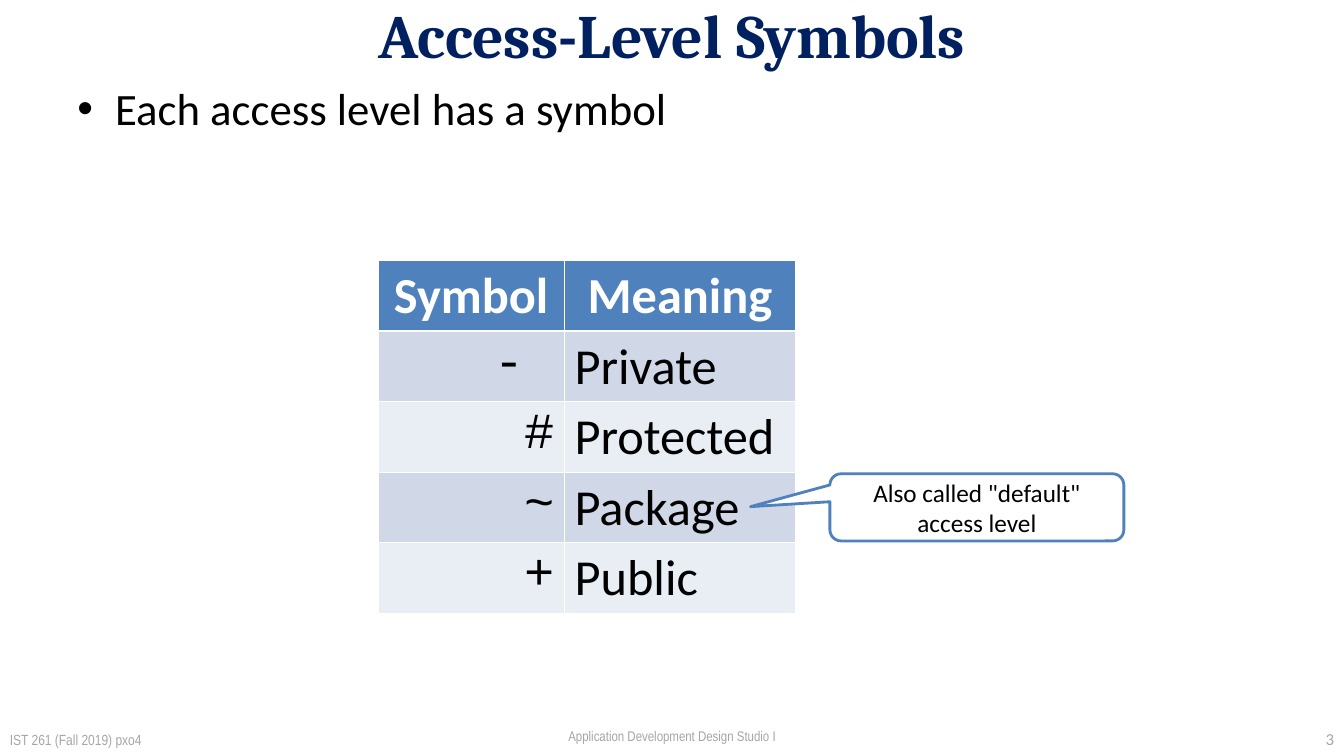
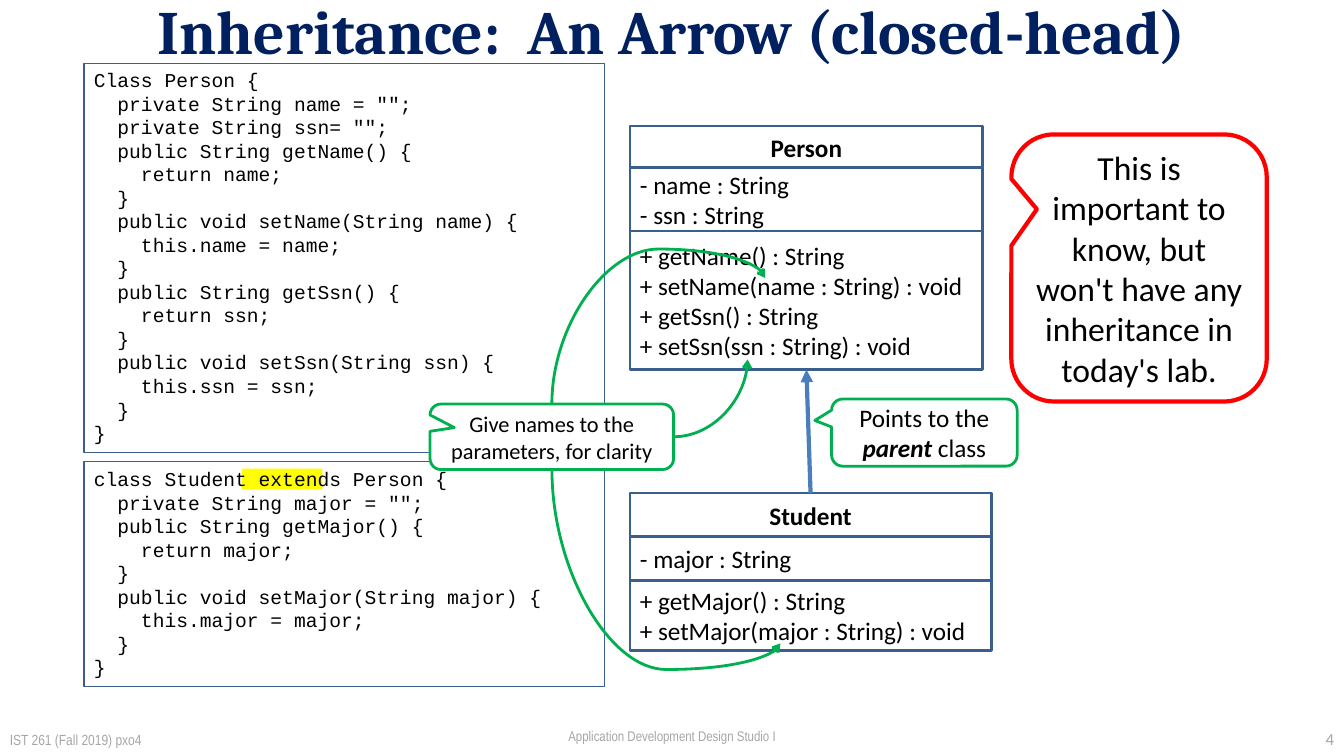
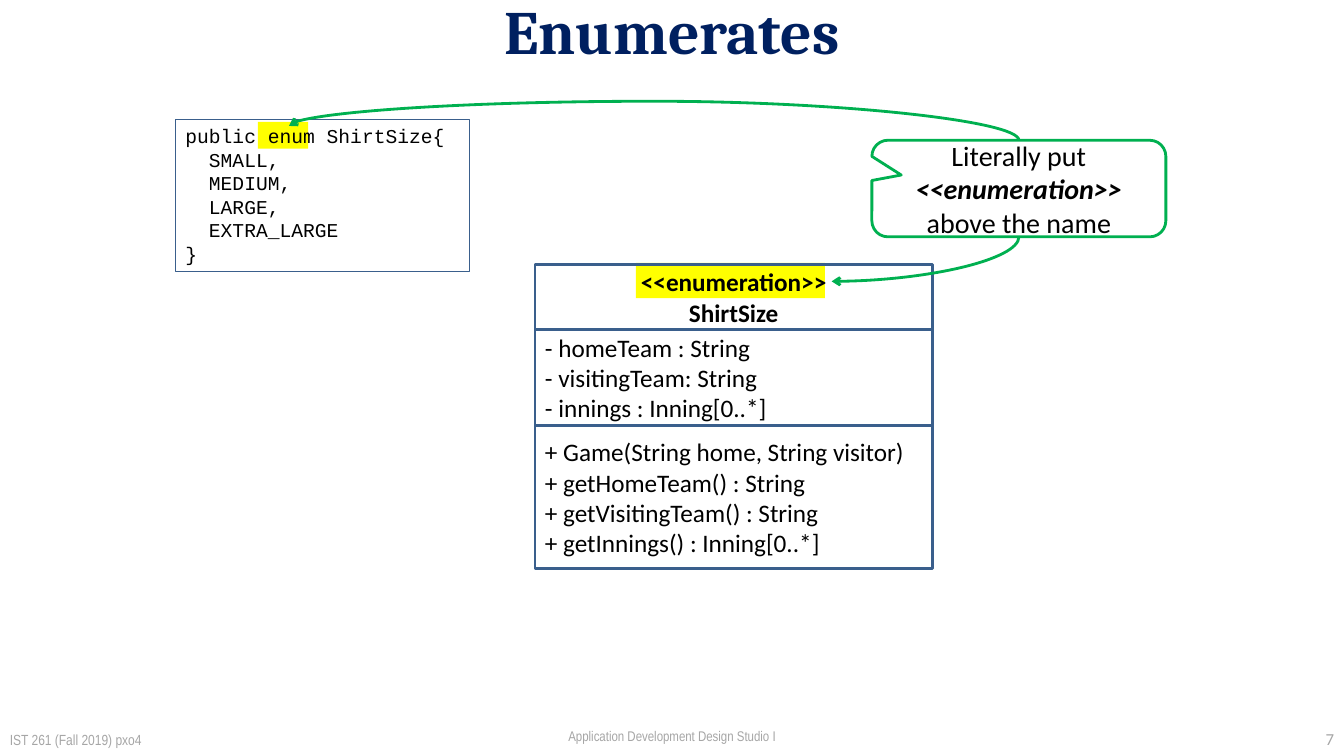
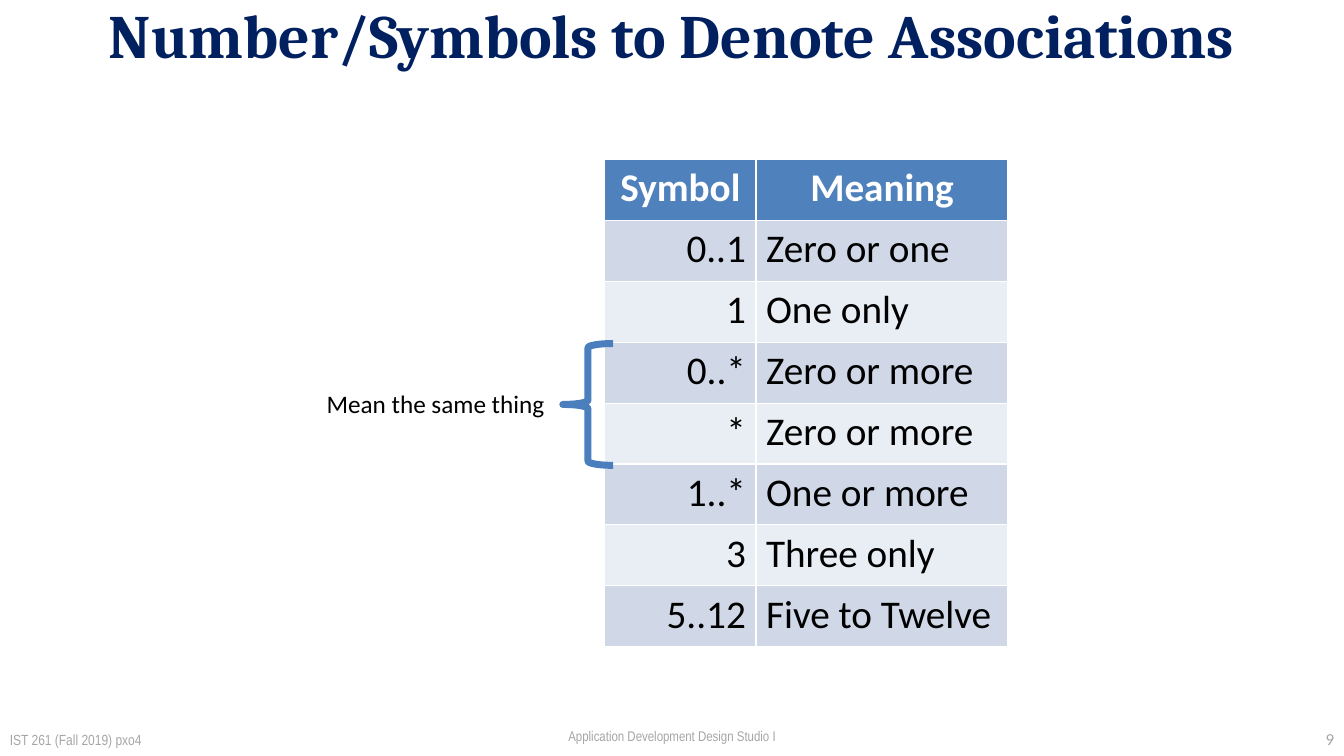
from dataclasses import dataclass

from lxml import etree
from pptx import Presentation
from pptx.dml.color import RGBColor
from pptx.enum.shapes import MSO_CONNECTOR, MSO_SHAPE
from pptx.enum.text import MSO_ANCHOR, MSO_AUTO_SIZE, PP_ALIGN
from pptx.oxml.ns import qn
from pptx.util import Inches, Pt

RECT, BRACE = MSO_SHAPE.RECTANGLE, MSO_SHAPE.LEFT_BRACE
CALLOUT = MSO_SHAPE.ROUNDED_RECTANGULAR_CALLOUT
STRAIGHT, CURVE = MSO_CONNECTOR.STRAIGHT, MSO_CONNECTOR.CURVE
LEFT, CENTER, RIGHT = PP_ALIGN.LEFT, PP_ALIGN.CENTER, PP_ALIGN.RIGHT
TOP, MIDDLE = MSO_ANCHOR.TOP, MSO_ANCHOR.MIDDLE

# The slide is a grid of 160 columns by 90 rows of square cells.
COLUMNS, ROWS = 160, 90
CELL = Inches(1) // 12


@dataclass(frozen=True)
class Theme:
    navy = RGBColor.from_string("002060")
    black = RGBColor.from_string("000000")
    white = RGBColor.from_string("FFFFFF")
    gray = RGBColor.from_string("A6A6A6")
    blue = RGBColor.from_string("4F81BD")
    edge = RGBColor.from_string("3A5F8C")
    arrow = RGBColor.from_string("4B7EBC")
    green = RGBColor.from_string("00B050")
    red = RGBColor.from_string("FF0000")
    yellow = RGBColor.from_string("FFFF00")
    bands = (RGBColor.from_string("D0D8E8"), RGBColor.from_string("E9EDF4"))
    heading, text, code, footer = "Cambria", "Calibri", "Courier New", "Arial Narrow"
    title_size, list_size, label_size, code_size = 44, 32, 18, 14


THEME = Theme()


def add_box(slide, kind, place, lines=(), size=THEME.label_size, font=THEME.text,
            color=THEME.black, bold=False, align=LEFT, anchor=MIDDLE,
            fill=None, line=None, weight=2, pointer=()):
    """Draw a box (a text box if kind is None); a line is text or (plain, strong, plain)."""
    left, top, width, height = [round(value * CELL) for value in place]
    if kind is None:
        box = slide.shapes.add_textbox(left, top, width, height)
    else:
        box = slide.shapes.add_shape(kind, left, top, width, height)
        box.shadow.inherit = False
        if fill is None:
            box.fill.background()
        else:
            box.fill.solid()
            box.fill.fore_color.rgb = fill
        if line is None:
            box.line.fill.background()
        else:
            box.line.color.rgb = line
            box.line.width = Pt(weight)
    for index, value in enumerate(pointer):
        box.adjustments[index] = value
    frame = box.text_frame
    frame.word_wrap = True
    frame.vertical_anchor = anchor
    for index, parts in enumerate(lines):
        paragraph = frame.paragraphs[0] if index == 0 else frame.add_paragraph()
        paragraph.alignment = align
        paragraph.font.name, paragraph.font.size = font, Pt(size)
        paragraph.font.color.rgb, paragraph.font.bold = color, bold
        for order, part in enumerate([parts] if isinstance(parts, str) else parts):
            run = paragraph.add_run()
            run.text = part
            if order % 2:
                run.font.bold = run.font.italic = True
    return box


def add_arrow(slide, start, end, preset=None, turn=0, flips="", bend=None,
              color=THEME.green, weight=2, head="arrow"):
    """Draw an arrow; with a preset it is a curve, turned and flipped about its middle."""
    (x1, y1), (x2, y2) = start, end
    if preset:
        width, height = abs(x2 - x1), abs(y2 - y1)
        if turn in (90, 270):
            width, height = height, width
        x1, y1 = (x1 + x2 - width) / 2, (y1 + y2 - height) / 2
        x2, y2 = x1 + width, y1 + height
    arrow = slide.shapes.add_connector(
        CURVE if preset else STRAIGHT, *[round(v * CELL) for v in (x1, y1, x2, y2)])
    arrow.line.color.rgb = color
    arrow.line.width = Pt(weight)
    properties = arrow._element.spPr
    if preset:
        frame = properties.find(qn("a:xfrm"))
        frame.set("rot", str(turn * 60000))
        for axis in flips:
            frame.set("flip" + axis.upper(), "1")
        geometry = properties.find(qn("a:prstGeom"))
        geometry.set("prst", preset)
        if bend:
            guide = etree.SubElement(geometry.find(qn("a:avLst")), qn("a:gd"))
            guide.set("name", "adj1")
            guide.set("fmla", f"val {round(bend * 100000)}")
    etree.SubElement(properties.find(qn("a:ln")), qn("a:tailEnd")).set("type", head)
    etree.SubElement(properties, qn("a:effectLst"))
    return arrow


prs = Presentation()
prs.slide_width, prs.slide_height = COLUMNS * CELL, ROWS * CELL
LIST_LAYOUT, TITLE_LAYOUT = prs.slide_layouts[1], prs.slide_layouts[5]

# Titles and footers
slides = []
for page, heading, layout, title_rows in (
    (3, "Access-Level Symbols", LIST_LAYOUT, 8),
    (4, "Inheritance:  An Arrow (closed-head)", TITLE_LAYOUT, 7.2),
    (7, "Enumerates", TITLE_LAYOUT, 7.2),
    (9, "Number/Symbols to Denote Associations", TITLE_LAYOUT, 8),
):
    slide = prs.slides.add_slide(layout)
    slides.append(slide)
    title = slide.shapes.title
    title.left, title.top = 8 * CELL, 0
    title.width, title.height = 144 * CELL, round(title_rows * CELL)
    title.text_frame.text = heading
    title.text_frame.auto_size = MSO_AUTO_SIZE.NONE
    title.text_frame.vertical_anchor = MIDDLE
    paragraph = title.text_frame.paragraphs[0]
    paragraph.alignment = CENTER
    paragraph.font.name, paragraph.font.size = THEME.heading, Pt(THEME.title_size)
    paragraph.font.color.rgb, paragraph.font.bold = THEME.navy, True

    third = COLUMNS / 3
    side = third * 0.85
    for left, width, height, words, size, font, align, anchor in (
        (0, side, 4, "IST 261 (Fall 2019) pxo4", 10.5, THEME.footer, LEFT, MIDDLE),
        (side, COLUMNS - 2 * side, 3.7, "Application Development Design Studio I",
         10, THEME.footer, CENTER, TOP),
        (COLUMNS - side, side, 4, str(page), 12, THEME.text, RIGHT, MIDDLE),
    ):
        add_box(slide, None, (left, 86, width, height), [words], size, font,
                THEME.gray, align=align, anchor=anchor)

access, inheritance, enumerates, associations = slides

# Symbol tables
for slide, left, top, widths, row_height, size, symbol_font, entries in (
    (access, 45, 31, (22.2, 27.5), 8.4, 36, THEME.code,
     (("- ", "Private"), ("#", "Protected"), ("~", "Package"), ("+", "Public"))),
    (associations, 72, 19, (18, 30), 7.25, 28, THEME.text,
     (("0..1", "Zero or one"), ("1", "One only"), ("0..*", "Zero or more"),
      ("*", "Zero or more"), ("1..*", "One or more"), ("3", "Three only"),
      ("5..12", "Five to Twelve"))),
):
    rows = (("Symbol", "Meaning"),) + entries
    table = slide.shapes.add_table(
        len(rows), 2, left * CELL, top * CELL, round(sum(widths) * CELL),
        round(len(rows) * row_height * CELL)).table
    for column, width in zip(table.columns, widths):
        column.width = round(width * CELL)
    for r, row in enumerate(rows):
        for c, words in enumerate(row):
            header = r == 0
            cell = table.cell(r, c)
            cell.fill.solid()
            cell.fill.fore_color.rgb = THEME.blue if header else THEME.bands[(r - 1) % 2]
            cell.text = words
            paragraph = cell.text_frame.paragraphs[0]
            paragraph.alignment = CENTER if header else (RIGHT, LEFT)[c]
            paragraph.font.name = symbol_font if c == 0 and not header else THEME.text
            paragraph.font.size, paragraph.font.bold = Pt(size), header
            paragraph.font.color.rgb = THEME.white if header else THEME.black

# Access levels: list
levels = access.placeholders[1]
levels.left, levels.top, levels.width, levels.height = [
    round(v * CELL) for v in (8, 9, 144, 71.4)]
levels.text_frame.text = "Each access level has a symbol"
levels.text_frame.auto_size = MSO_AUTO_SIZE.NONE
paragraph = levels.text_frame.paragraphs[0]
paragraph.space_before = Pt(0)
paragraph.font.name, paragraph.font.size = THEME.text, Pt(THEME.list_size)
paragraph.font.color.rgb = THEME.black

# Highlights behind the code and the class name
for slide, place in (
    (inheritance, (28.8, 55.8, 9.6, 2.5)),
    (enumerates, (30.7, 14.5, 6, 3.2)),
    (enumerates, (75.7, 31.3, 22.5, 4.2)),
):
    add_box(slide, RECT, place, fill=THEME.yellow)

# Class diagrams: name, attributes and methods stacked
class_parts = []
for slide, left, top, width, compartments in (
    (inheritance, 75, 15, 42, (
        (5, ["Person"]),
        (7.5, ["- name : String", "- ssn : String"]),
        (16.5, ["+ getName() : String", "+ setName(name : String) : void",
                "+ getSsn() : String", "+ setSsn(ssn : String) : void"]))),
    (inheritance, 75, 58.7, 43, (
        (5.2, ["Student"]),
        (5.2, ["- major : String"]),
        (8.3, ["+ getMajor() : String", "+ setMajor(major : String) : void"]))),
    (enumerates, 63.7, 31.5, 47.3, (
        (7.7, ["<<enumeration>>", "ShirtSize"]),
        (11.5, ["- homeTeam : String", "- visitingTeam: String",
                "- innings : Inning[0..*]"]),
        (17, ["+ Game(String home, String visitor)", "+ getHomeTeam() : String",
              "+ getVisitingTeam() : String", "+ getInnings() : Inning[0..*]"]))),
):
    parts = []
    for index, (height, lines) in enumerate(compartments):
        is_name = index == 0
        parts.append(add_box(slide, RECT, (left, top, width, height), lines, bold=is_name,
                             align=CENTER if is_name else LEFT, line=THEME.edge))
        top += height
    class_parts.append(parts)

person, student, _ = class_parts
inherits = add_arrow(inheritance, (96.5, 58.7), (96, 44), color=THEME.arrow,
                     weight=3, head="triangle")
inherits.begin_connect(student[0], 0)
inherits.end_connect(person[-1], 2)

# Code listings
PERSON_CODE = """Class Person {
  private String name = "";
  private String ssn= "";
  public String getName() {
    return name;
  }
  public void setName(String name) {
    this.name = name;
  }
  public String getSsn() {
    return ssn;
  }
  public void setSsn(String ssn) {
    this.ssn = ssn;
  }
}"""
STUDENT_CODE = """class Student extends Person {
  private String major = "";
  public String getMajor() {
    return major;
  }
  public void setMajor(String major) {
    this.major = major;
  }
}"""
SHIRT_CODE = """public enum ShirtSize{
  SMALL,
  MEDIUM,
  LARGE,
  EXTRA_LARGE
}"""
for slide, place, code in (
    (inheritance, (10, 7.5, 62, 46.4), PERSON_CODE),
    (inheritance, (10, 55, 62, 26.7), STUDENT_CODE),
    (enumerates, (20.9, 14.2, 35, 18.1), SHIRT_CODE),
):
    add_box(slide, RECT, place, code.split("\n"), THEME.code_size, THEME.code,
            anchor=TOP, line=THEME.edge, weight=0.75)

# Curved arrows from the callouts
for slide, start, end, preset, turn, flips, bend in (
    (inheritance, (80.2, 52), (89, 42.8), "curvedConnector2", 0, "v", None),
    (inheritance, (65.7, 48.1), (91.1, 33.1), "curvedConnector3", 90, "hv", 1.23),
    (inheritance, (65.7, 55.9), (92.9, 76.6), "curvedConnector3", 270, "h", 1.15),
    (enumerates, (121.3, 16.7), (34.4, 15), "curvedConnector3", 270, "v", 2.73),
    (enumerates, (121.3, 28.2), (99, 33.5), "curvedConnector2", 90, "", None),
):
    add_arrow(slide, start, end, preset, turn, flips, bend)

# Callouts
for slide, place, words, size, color, weight, pointer in (
    (access, (98.8, 56.4, 35, 8), 'Also called "default" access level',
     18, THEME.blue, 2, (-0.77, -0.01)),
    (inheritance, (51.2, 48.1, 29, 7.8), "Give names to the parameters, for clarity",
     16, THEME.green, 2, (-0.4, -0.14)),
    (inheritance, (99, 47.5, 22.1, 8), ("Points to the ", "parent", " class"),
     18, THEME.green, 2, (-0.59, -0.18)),
    (inheritance, (120.4, 16, 30.4, 31.8),
     "This is important to know, but won't have any inheritance in today's lab.",
     24, THEME.red, 3, (-0.4, -0.22)),
    (enumerates, (103.8, 16.7, 35, 11.5),
     ("Literally put ", "<<enumeration>> ", "above the name"),
     20, THEME.green, 2, (-0.4, -0.14)),
):
    add_box(slide, CALLOUT, place, [words], size, align=CENTER, fill=THEME.white,
            line=color, weight=weight, pointer=pointer)

# Associations: brace over the two equal rows
add_box(associations, BRACE, (67, 40.9, 6, 14.5), line=THEME.arrow, weight=5)
add_box(associations, None, (37.7, 45.7, 29.4, 4.8), ["Mean the same thing"], anchor=TOP)

prs.save("out.pptx")
